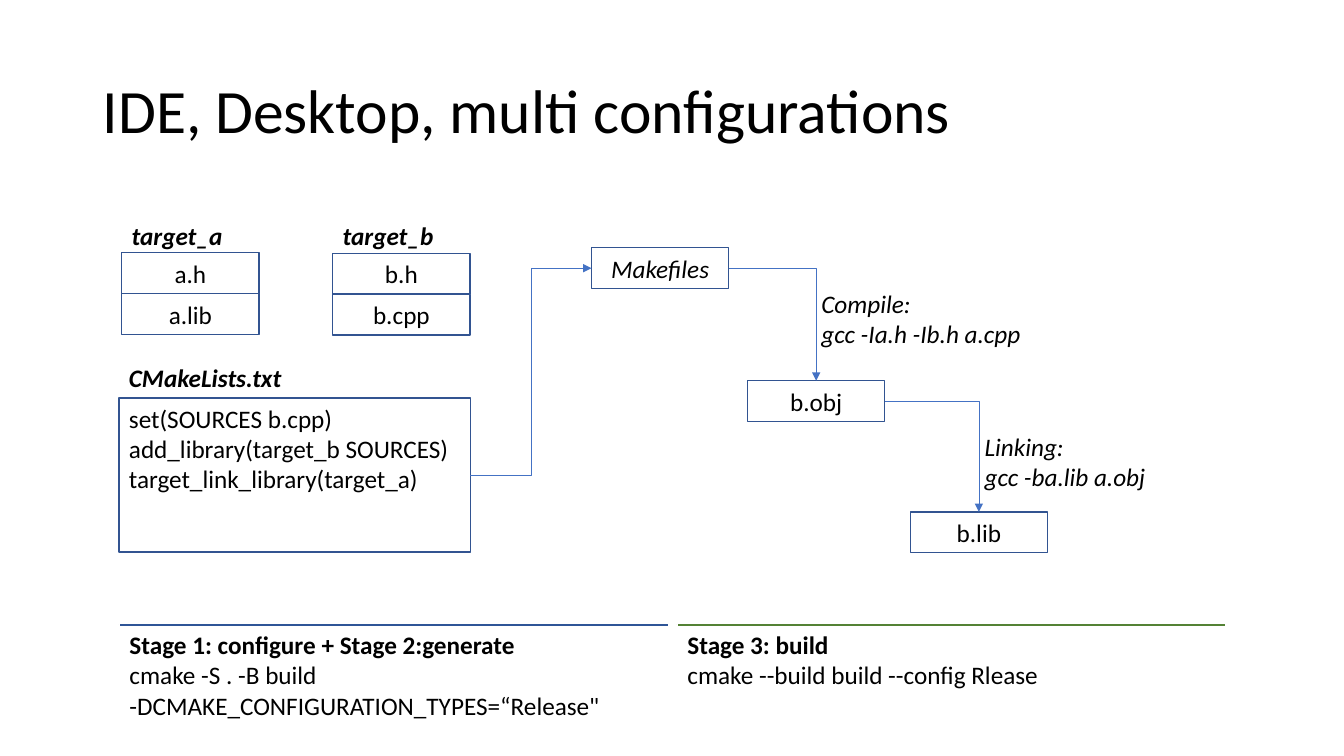
from dataclasses import dataclass

from lxml.etree import SubElement
from pptx import Presentation
from pptx.dml.color import RGBColor
from pptx.enum.shapes import MSO_CONNECTOR, MSO_SHAPE
from pptx.enum.text import MSO_ANCHOR, MSO_AUTO_SIZE, PP_ALIGN
from pptx.oxml import parse_xml
from pptx.oxml.ns import nsdecls, qn
from pptx.util import Pt


@dataclass(frozen=True)
class Theme:
    font: str = "Calibri"
    title_size: int = 44
    body_size: int = 18
    text: str = "000000"
    outline: str = "325491"
    arrow: str = "4472C4"
    configure: str = "2F5597"
    build: str = "548235"
    blank: str = "FFFFFF"


THEME = Theme()
NODE_WIDTH, NODE_HEIGHT = 98, 29.2
TOP, LEFT, RIGHT = 0, 1, 3


def points(*lengths):
    return [Pt(length) for length in lengths]


def write_text(frame, *lines, size=THEME.body_size, bold=False, italic=False,
               bold_head=False, align=PP_ALIGN.LEFT, anchor=MSO_ANCHOR.TOP,
               spacing=None):
    frame.word_wrap = True
    frame.vertical_anchor = anchor
    for index, line in enumerate(lines):
        paragraph = frame.add_paragraph() if index else frame.paragraphs[0]
        paragraph.alignment = align
        paragraph.line_spacing = spacing
        run = paragraph.add_run()
        run.text = line
        run.font.name = THEME.font
        run.font.size = Pt(size)
        run.font.bold = bold or (bold_head and index == 0)
        run.font.italic = italic
        run.font.color.rgb = RGBColor.from_string(THEME.text)


def set_title(slide, wording):
    title = slide.shapes.title
    title.left, title.top, title.width, title.height = points(66.2, 28.8, 828, 104.4)
    title.text_frame.auto_size = MSO_AUTO_SIZE.NONE
    write_text(title.text_frame, wording, size=THEME.title_size,
               anchor=MSO_ANCHOR.MIDDLE, spacing=0.9)


def add_box(shapes, left, top, width, height, *lines, **text_format):
    box = shapes.add_shape(MSO_SHAPE.RECTANGLE, *points(left, top, width, height))
    box.shadow.inherit = False
    box.fill.background()
    box.line.color.rgb = RGBColor.from_string(THEME.outline)
    box.line.width = Pt(1)
    write_text(box.text_frame, *lines, **text_format)
    return box


def add_node(shapes, left, top, name, italic=False):
    return add_box(shapes, left, top, NODE_WIDTH, NODE_HEIGHT, name, italic=italic,
                   align=PP_ALIGN.CENTER, anchor=MSO_ANCHOR.MIDDLE)


def add_label(shapes, left, top, width, height, *lines, bold=False):
    label = shapes.add_textbox(*points(left, top, width, height))
    write_text(label.text_frame, *lines, bold=bold, italic=True)


def add_target(slide, left, top, name, files):
    target = slide.shapes.add_group_shape().shapes
    add_label(target, left, top, NODE_WIDTH, 25, name, bold=True)
    for row, file_name in enumerate(files):
        add_node(target, left, top + 27 + row * NODE_HEIGHT, file_name)


def add_arrow(slide, source, source_site, goal, goal_site):
    arrow = slide.shapes.add_connector(MSO_CONNECTOR.ELBOW, 0, 0, 0, 0)
    arrow.begin_connect(source, source_site)
    arrow.end_connect(goal, goal_site)
    arrow.line.color.rgb = RGBColor.from_string(THEME.arrow)
    arrow.line.width = Pt(0.5)
    properties = arrow._element.spPr
    if goal_site == TOP:
        properties.find(qn("a:prstGeom")).set("prst", "bentConnector2")
    SubElement(properties.find(qn("a:ln")), qn("a:tailEnd"), type="triangle")
    SubElement(properties, qn("a:effectLst"))


def set_borders(cell, top_color):
    borders = [("lnL", THEME.blank, 1), ("lnR", THEME.blank, 1),
               ("lnT", top_color, 2.25), ("lnB", THEME.blank, 3)]
    for index, (side, color, width) in enumerate(borders):
        border = parse_xml(
            f'<a:{side} {nsdecls("a")} w="{Pt(width)}"><a:solidFill>'
            f'<a:srgbClr val="{color}"/></a:solidFill></a:{side}>')
        cell._tc.get_or_add_tcPr().insert(index, border)


def add_stage(slide, left, color, *lines):
    stage = slide.shapes.add_table(1, 1, *points(left, 446.4, 392, 59.8)).table
    stage.first_row = False
    stage.horz_banding = False
    cell = stage.cell(0, 0)
    cell.fill.background()
    set_borders(cell, color)
    write_text(cell.text_frame, *lines, bold_head=True)


def main():
    presentation = Presentation()
    presentation.slide_width, presentation.slide_height = points(960, 540)
    slide = presentation.slides.add_slide(presentation.slide_layouts[5])
    shapes = slide.shapes
    set_title(slide, "IDE, Desktop, multi configurations")

    add_target(slide, 87, 153.5, "target_a", ["a.h", "a.lib"])
    add_target(slide, 237.7, 154, "target_b", ["b.h", "b.cpp"])

    add_label(shapes, 85, 255, 251, 29, "CMakeLists.txt", bold=True)
    cmake_lists = add_box(shapes, 85, 284.4, 251, 110, "set(SOURCES b.cpp)",
                          "add_library(target_b SOURCES)",
                          "target_link_library(target_a)")
    makefiles = add_node(shapes, 422.5, 177, "Makefiles", italic=True)
    object_file = add_node(shapes, 534, 272, "b.obj")
    library = add_node(shapes, 650.2, 365.6, "b.lib")

    add_arrow(slide, cmake_lists, RIGHT, makefiles, LEFT)
    add_arrow(slide, makefiles, RIGHT, object_file, TOP)
    add_arrow(slide, object_file, RIGHT, library, TOP)
    add_label(shapes, 579.6, 202.3, 260.6, 62, "Compile:", "gcc -Ia.h -Ib.h a.cpp")
    add_label(shapes, 696.2, 304.6, 260.6, 55, "Linking:", "gcc -ba.lib a.obj")

    add_stage(slide, 85.3, THEME.configure, "Stage 1: configure + Stage 2:generate",
              "cmake -S . -B build", "-DCMAKE_CONFIGURATION_TYPES=“Release\"")
    add_stage(slide, 483.8, THEME.build, "Stage 3: build",
              "cmake --build build --config Rlease")
    presentation.save("out.pptx")


if __name__ == "__main__":
    main()
